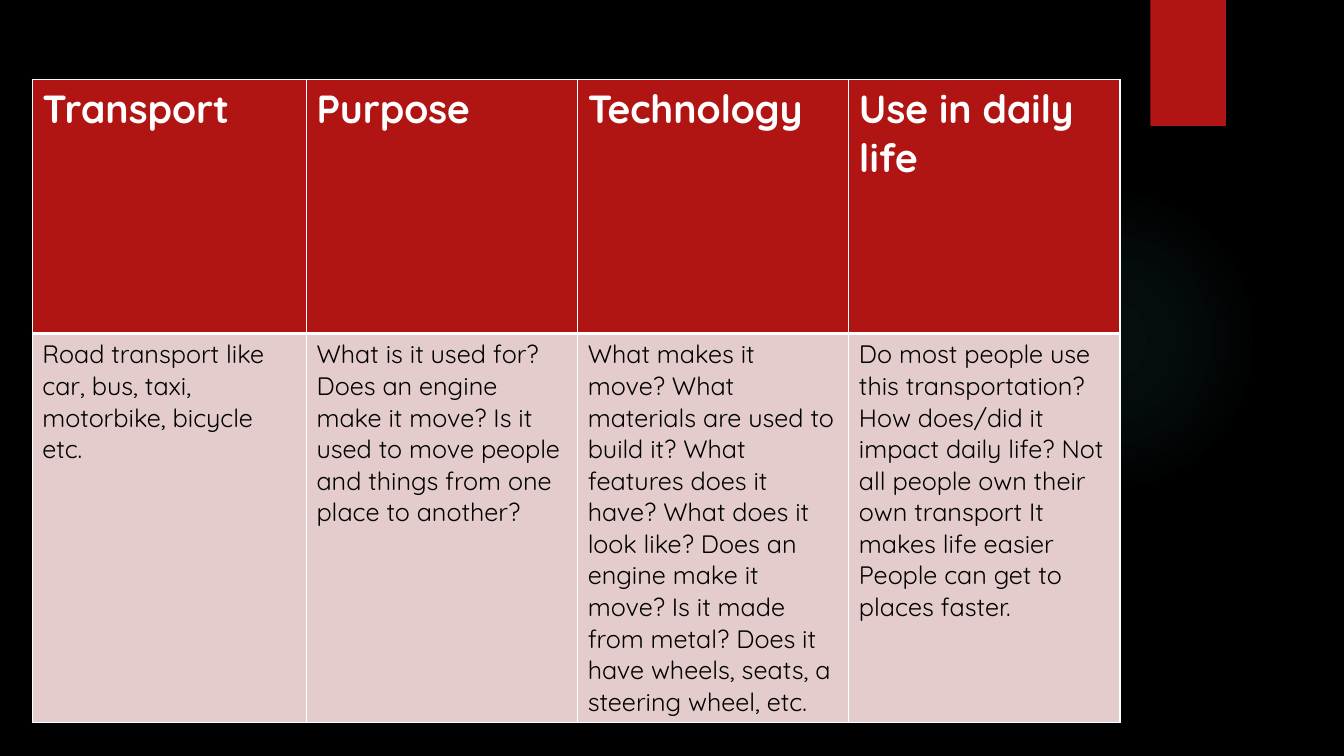
from lxml import etree
from pptx import Presentation
from pptx.dml.color import RGBColor
from pptx.enum import shapes
from pptx.oxml import ns, parse_xml
from pptx.util import Inches, Pt

HEADINGS = ["Transport", "Purpose", "Technology", "Use in daily life"]
DETAILS = [
    "Road transport like car, bus, taxi, motorbike, bicycle etc.",
    "What is it used for? Does an engine make it move? Is it used to move "
    "people and things from one place to another?",
    "What makes it move? What materials are used to build it? What features "
    "does it have? What does it look like? Does an engine make it move? Is it "
    "made from metal? Does it have wheels, seats, a steering wheel, etc.",
    "Do most people use this transportation? How does/did it impact daily "
    "life? Not all people own their own transport It makes life easier People "
    "can get to places faster.",
]
THEME = {
    "font": "Quicksand",
    "background": "000000",
    "accent": "B01513",
    "glow": "50B9C1",
    "border": "FFFFFF",
    "heading": {"size": 28, "color": "FFFFFF", "fill": "B01513", "bold": True},
    "detail": {"size": 18, "color": "000000", "fill": "E4CCCC", "bold": False},
}
GLOW_STOPS = [(0, 7), (36, 6), (69, 0)]  # position %, opacity %
COLUMN_WIDTHS = [2.72, 2.69, 2.69, 2.69]
ROW_HEIGHTS = [2.52, 3.86]
TABLE_LEFT, TABLE_TOP = 0.32, 0.79
THIN, THICK = 1, 3


def rgb(color):
    return RGBColor.from_string(color)


def add_plain_shape(slide, kind, left, top, width, height):
    """Add a preset shape without line or shadow."""
    shape = slide.shapes.add_shape(
        kind, Inches(left), Inches(top), Inches(width), Inches(height))
    shape.line.fill.background()
    shape.shadow.inherit = False
    return shape


def fill_with_glow(shape):
    """Fade the glow colour out from the centre of the shape."""
    stops = "".join(
        f'<a:gs pos="{position * 1000}"><a:srgbClr val="{THEME["glow"]}">'
        f'<a:alpha val="{opacity * 1000}"/></a:srgbClr></a:gs>'
        for position, opacity in GLOW_STOPS)
    gradient = parse_xml(
        f'<a:gradFill {ns.nsdecls("a")} rotWithShape="1"><a:gsLst>{stops}</a:gsLst>'
        '<a:path path="circle"><a:fillToRect l="50000" t="50000" r="50000" '
        'b="50000"/></a:path></a:gradFill>')
    shape._element.spPr.find(ns.qn("a:prstGeom")).addnext(gradient)


def add_borders(cell, top, bottom):
    properties = cell._tc.get_or_add_tcPr()
    for side, points in (("L", THIN), ("R", THIN), ("T", top), ("B", bottom)):
        line = etree.SubElement(properties, ns.qn(f"a:ln{side}"), w=str(Pt(points)))
        solid = etree.SubElement(line, ns.qn("a:solidFill"))
        etree.SubElement(solid, ns.qn("a:srgbClr"), val=THEME["border"])


def fill_cell(cell, wording, style):
    cell.fill.solid()
    cell.fill.fore_color.rgb = rgb(style["fill"])
    cell.text_frame.text = wording
    font = cell.text_frame.paragraphs[0].runs[0].font
    font.name = THEME["font"]
    font.size = Pt(style["size"])
    font.bold = style["bold"]
    font.color.rgb = rgb(style["color"])


def add_transport_table(slide):
    table = slide.shapes.add_table(
        len(ROW_HEIGHTS), len(COLUMN_WIDTHS), Inches(TABLE_LEFT), Inches(TABLE_TOP),
        Inches(sum(COLUMN_WIDTHS)), Inches(sum(ROW_HEIGHTS))).table
    for column, width in zip(table.columns, COLUMN_WIDTHS):
        column.width = Inches(width)
    for row, height in zip(table.rows, ROW_HEIGHTS):
        row.height = Inches(height)
    rows = [(HEADINGS, THEME["heading"], THIN, THICK),
            (DETAILS, THEME["detail"], THICK, THIN)]
    for row, (wordings, style, top, bottom) in zip(table.rows, rows):
        for cell, wording in zip(row.cells, wordings):
            add_borders(cell, top, bottom)
            fill_cell(cell, wording, style)


def main():
    deck = Presentation()
    deck.slide_width, deck.slide_height = Inches(13.33), Inches(7.5)
    slide = deck.slides.add_slide(deck.slide_layouts[6])
    slide.background.fill.solid()
    slide.background.fill.fore_color.rgb = rgb(THEME["background"])

    glow = add_plain_shape(slide, shapes.MSO_SHAPE.OVAL, 9.41, 1.83, 3.08, 3.08)
    fill_with_glow(glow)
    ribbon = add_plain_shape(slide, shapes.MSO_SHAPE.RECTANGLE, 11.41, 0, 0.75, 1.25)
    ribbon.fill.solid()
    ribbon.fill.fore_color.rgb = rgb(THEME["accent"])
    add_transport_table(slide)
    deck.save("out.pptx")


if __name__ == "__main__":
    main()
